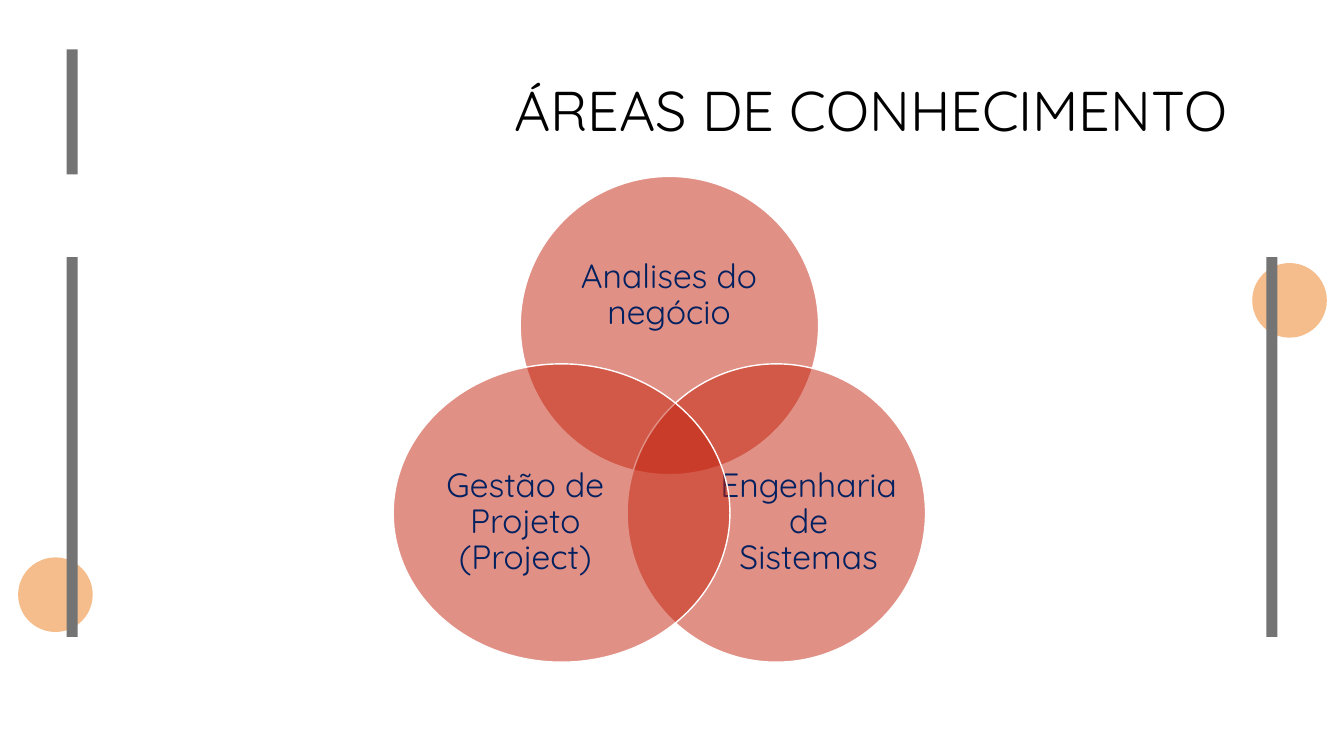
import pptx
import pptx.util
import pptx.dml.color
import pptx.enum.shapes
import pptx.enum.text
import pptx.oxml.ns
import lxml.etree

EMU_PER_PX = 9144  # 100 px to the inch
COLORS = {
    "accent": "F4AD70",
    "bar": "747474",
    "venn": "C4220D",
    "outline": "FFFFFF",
    "title": "000000",
    "label": "002060",
}
SHAPES = pptx.enum.shapes.MSO_SHAPE
ALIGN = pptx.enum.text.PP_ALIGN


def px(length):
    return pptx.util.Emu(length * EMU_PER_PX)


def color(name):
    return pptx.dml.color.RGBColor.from_string(COLORS[name])


class SlideBuilder:
    font_name = "Quicksand"
    line_spacing = 0.9

    def __init__(self, slide):
        self.slide = slide

    def shape(self, kind, box, fill, opacity=100, outline=None):
        """Draw a filled preset shape; opacity is a percentage."""
        shape = self.slide.shapes.add_shape(kind, *map(px, box))
        shape.shadow.inherit = False
        shape.fill.solid()
        shape.fill.fore_color.rgb = color(fill)
        if opacity < 100:
            rgb = shape.fill._xPr.find(".//" + pptx.oxml.ns.qn("a:srgbClr"))
            alpha = lxml.etree.SubElement(rgb, pptx.oxml.ns.qn("a:alpha"))
            alpha.set("val", str(opacity * 1000))
        if outline:
            shape.line.color.rgb = color(outline)
            shape.line.width = pptx.util.Pt(1)
        else:
            shape.line.fill.background()

    def text(self, content, box, size, ink, align=ALIGN.CENTER, side=0):
        """Write one vertically centred paragraph; side is the left and right inset."""
        frame = self.slide.shapes.add_textbox(*map(px, box)).text_frame
        frame.word_wrap = True
        frame.vertical_anchor = pptx.enum.text.MSO_ANCHOR.MIDDLE
        frame.margin_left = frame.margin_right = px(side)
        frame.margin_top = frame.margin_bottom = 0
        paragraph = frame.paragraphs[0]
        paragraph.alignment = align
        paragraph.line_spacing = self.line_spacing
        run = paragraph.add_run()
        run.text = content
        run.font.name = self.font_name
        run.font.size = pptx.util.Pt(size)
        run.font.color.rgb = color(ink)

    def accent_circle(self, left, top):
        self.shape(SHAPES.OVAL, (left, top, 74, 74), "accent", opacity=80)

    def bar(self, left, top, height):
        self.shape(SHAPES.RECTANGLE, (left, top, 11, height), "bar")

    def venn_area(self, label, circle, label_box):
        self.shape(SHAPES.OVAL, circle, "venn", opacity=50, outline="outline")
        self.text(label, label_box, size=24, ink="label")


def main():
    deck = pptx.Presentation()
    deck.slide_width, deck.slide_height = px(1333), px(750)
    builder = SlideBuilder(deck.slides.add_slide(deck.slide_layouts[6]))

    for left, top in [(1242, 261), (18, 553)]:
        builder.accent_circle(left, top)
    for left, top, height in [(1256, 255, 377), (66, 49, 124), (66, 255, 377)]:
        builder.bar(left, top, height)

    builder.text("ÁREAS DE CONHECIMENTO ", (92, 40, 1150, 145), size=40,
                 ink="title", align=ALIGN.RIGHT, side=10)

    knowledge_areas = [
        ("Analises do negócio", (516, 175, 296, 296), (555, 227, 217, 133)),
        ("Engenharia de Sistemas", (622, 361, 296, 296), (713, 437, 178, 163)),
        ("Gestão de Projeto (Project)", (390, 361, 334, 296), (421, 437, 200, 163)),
    ]
    for label, circle, label_box in knowledge_areas:
        builder.venn_area(label, circle, label_box)

    deck.save("out.pptx")


if __name__ == "__main__":
    main()
